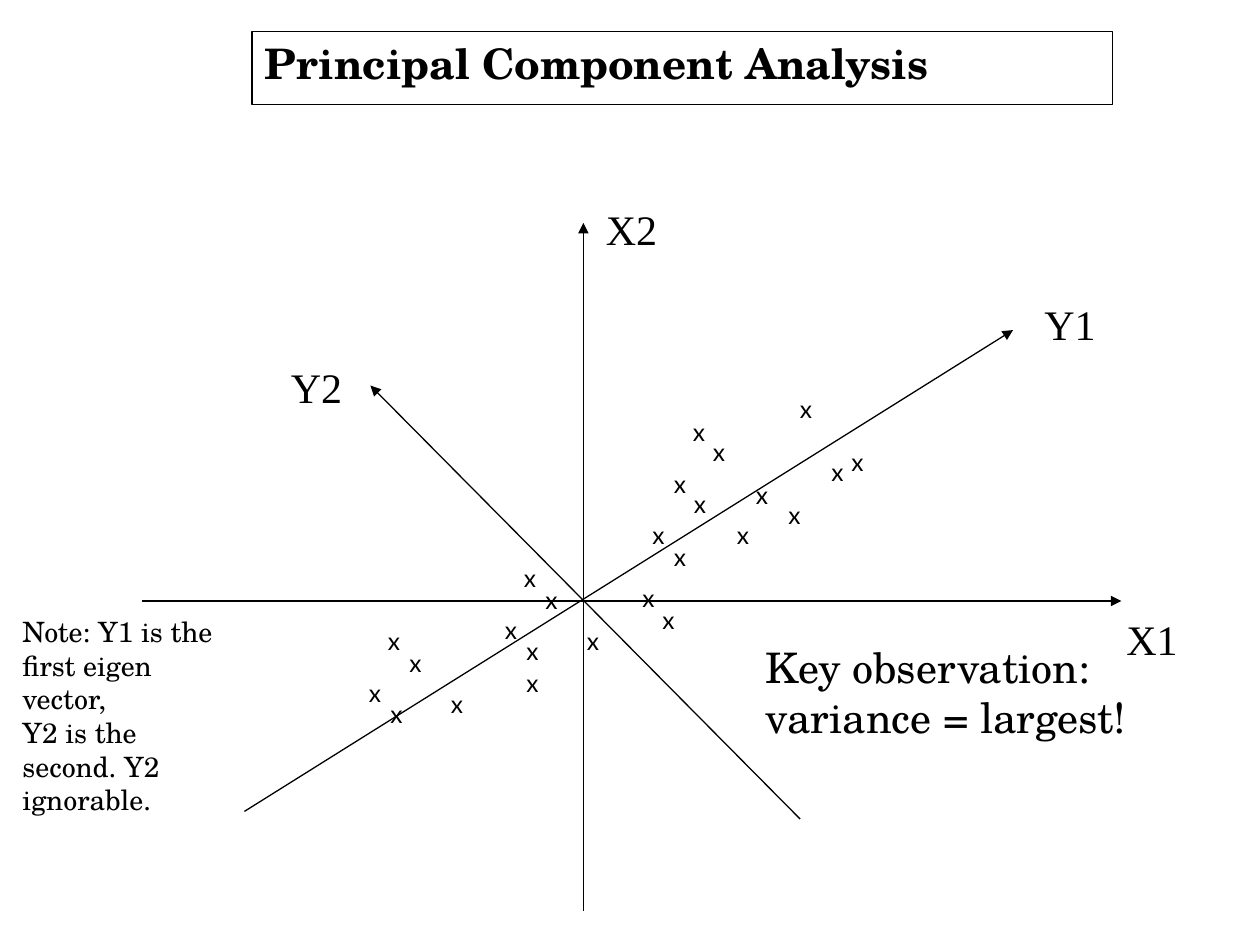
from lxml import etree
from pptx import Presentation
from pptx import util as u
from pptx.dml.color import RGBColor
from pptx.enum import shapes, text
from pptx.oxml import ns

BLACK = RGBColor(0, 0, 0)
WHITE = RGBColor(255, 255, 255)
SERIF = "TeX Gyre Schola"
ROMAN = "Times New Roman"
SANS = "Lato"

# Axes within the plot box: tail x, y, then arrow tip x, y
AXES = [
    (3.63, 5.73, 3.63, 0.27),
    (0.13, 3.27, 7.9, 3.27),
    (0.94, 4.94, 7.04, 1.12),
    (5.35, 5, 1.94, 1.56),
]
# Axis names within the plot box
NAMES = [("X1", 7.84, 3.32), ("X2", 3.71, 0.07),
         ("Y1", 7.19, 0.82), ("Y2", 1.21, 1.32)]
# Data marks within the plot box, upper right cloud then lower left cloud
MARKS = [
    (4.4, 1.76), (4.56, 1.92), (4.25, 2.17), (4.9, 2.26), (5.5, 2.08),
    (5.25, 1.58), (4.41, 2.33), (4.08, 2.58), (4.25, 2.75), (4, 3.08),
    (5.16, 2.42), (5.66, 2), (4.75, 2.58), (4.16, 3.25),
    (1.98, 3.42), (2.15, 3.59), (1.83, 3.83), (2.48, 3.92), (3.08, 3.75),
    (2, 4), (3.06, 2.92), (3.23, 3.09), (2.91, 3.33), (3.56, 3.42),
    (3.08, 3.5),
]


def write(frame, paras, font, size, bold=False, wrap=True):
    """Fill a frame; each paragraph is a list of lines."""
    frame.word_wrap = wrap
    frame.vertical_anchor = text.MSO_ANCHOR.TOP
    for i, lines in enumerate(paras):
        para = frame.add_paragraph() if i else frame.paragraphs[0]
        para.alignment = text.PP_ALIGN.LEFT
        for j, line in enumerate(lines):
            if j:
                para.add_line_break()
            run = para.add_run()
            run.text = line
            run.font.name = font
            run.font.size = u.Pt(size)
            run.font.bold = bold
            run.font.color.rgb = BLACK


def label(slide, box, paras, font, size, wrap=False):
    part = slide.shapes.add_textbox(*map(u.Inches, box))
    write(part.text_frame, paras, font, size, wrap=wrap)


def arrow(slide, *ends):
    line = slide.shapes.add_connector(
        shapes.MSO_CONNECTOR.STRAIGHT, *map(u.Inches, ends))
    line.line.color.rgb = BLACK
    line.line.width = u.Pt(0.75)
    tip = etree.SubElement(line.line._get_or_add_ln(), ns.qn("a:tailEnd"))
    tip.set("type", "triangle")
    etree.SubElement(line._element.spPr, ns.qn("a:effectLst"))


def title(slide, box):
    part = slide.shapes.add_shape(
        shapes.MSO_SHAPE.RECTANGLE, *map(u.Inches, box))
    part.shadow.inherit = False
    part.fill.solid()
    part.fill.fore_color.rgb = WHITE
    part.line.color.rgb = BLACK
    part.line.width = u.Pt(1)
    write(part.text_frame, [["Principal Component Analysis"]],
          SERIF, 24, bold=True)


def plot(slide, left, top):
    # Original and rotated axes
    for x1, y1, x2, y2 in AXES:
        arrow(slide, left + x1, top + y1, left + x2, top + y2)
    for name, x, y in NAMES:
        label(slide, (left + x, top + y, 0.61, 0.5), [[name]], ROMAN, 24)
    # Data points
    for x, y in MARKS:
        label(slide, (left + x, top + y, 0.3, 0.34), [["x"]], SANS, 14)


def main():
    deck = Presentation()
    deck.slide_width, deck.slide_height = u.Inches(10), u.Inches(7.5)
    slide = deck.slides.add_slide(deck.slide_layouts[6])
    plot(slide, 1, 1.5)
    # Remarks beside the plot
    label(slide, (0.08, 4.83, 1.82, 1.7),
          [["Note: Y1 is the first eigen vector,",
            "Y2 is the second. Y2 ignorable."]], SERIF, 16, wrap=True)
    label(slide, (5.98, 5.04, 3.13, 0.9),
          [["Key observation:"], ["variance = largest!"]], SERIF, 24)
    title(slide, (2, 0.25, 6.83, 0.58))
    deck.save("out.pptx")


if __name__ == "__main__":
    main()
